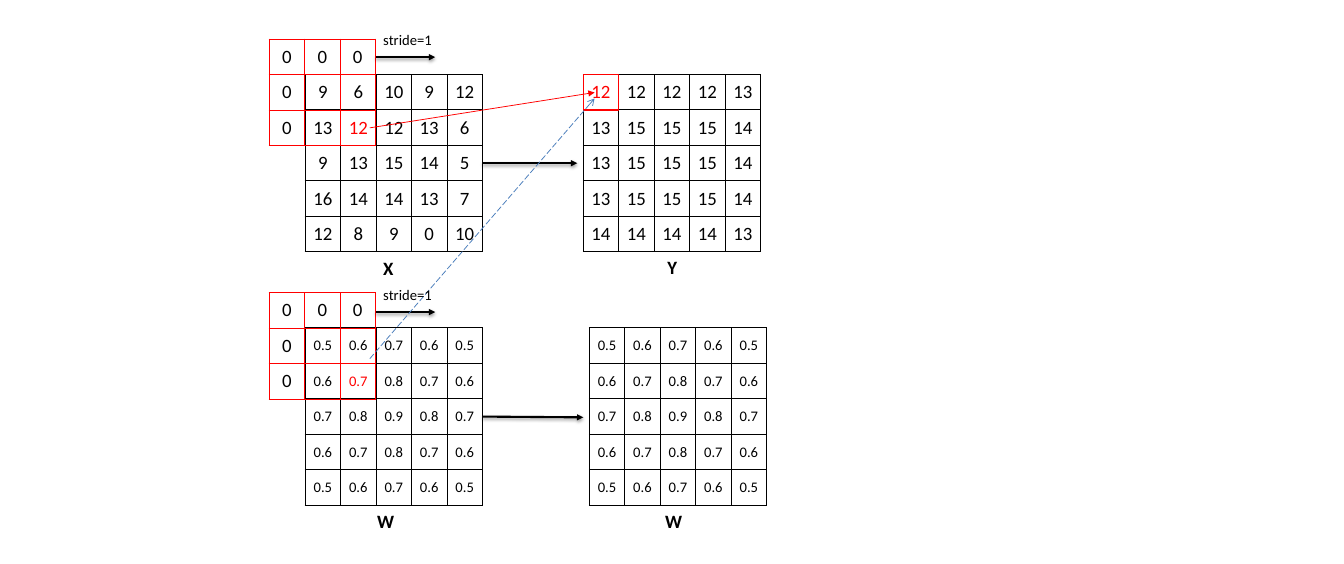
import pptx
import pptx.util
import pptx.dml.color
import pptx.enum.dml
import pptx.enum.shapes
import pptx.enum.text
import pptx.oxml
import pptx.oxml.ns
from lxml import etree

Inches = pptx.util.Inches
Pt = pptx.util.Pt

COLORS = {"black": "000000", "red": "FF0000", "blue": "4B7EBC"}
FONT = "Calibri"
CELL = 2.36 / 5

INPUT = ["9 6 10 9 12", "13 12 12 13 6", "9 13 15 14 5", "16 14 14 13 7", "12 8 9 0 10"]
OUTPUT = ["12 12 12 12 13", "13 15 15 15 14", "13 15 15 15 14", "13 15 15 15 14", "14 14 14 14 13"]
WEIGHTS = [
    "0.5 0.6 0.7 0.6 0.5",
    "0.6 0.7 0.8 0.7 0.6",
    "0.7 0.8 0.9 0.8 0.7",
    "0.6 0.7 0.8 0.7 0.6",
    "0.5 0.6 0.7 0.6 0.5",
]
PADDING = ["0 0 0", "0", "0"]

# left, top, rows, columns, size, border, red cell
GRIDS = [
    (4.06, 0.99, INPUT, 5, 18, "black", (1, 1)),
    (4.06, 4.36, WEIGHTS, 5, 14, "black", (1, 1)),
    (7.76, 0.99, OUTPUT, 5, 18, "black", (0, 0)),
    (7.84, 4.36, WEIGHTS, 5, 14, "black", None),
    (3.58, 0.52, PADDING, 3, 18, "red", None),
    (3.58, 3.89, PADDING, 3, 18, "red", None),
]
FLOW_ARROWS = [
    (6.42, 2.17, 7.68, 2.17),
    (6.42, 5.54, 7.76, 5.55),
    (5, 0.76, 5.79, 0.76),
    (5, 4.15, 5.79, 4.15),
]
LABELS = [
    ("stride=1", 5, 0.36, 0.94, 0.34, 14, False),
    ("stride=1", 5, 3.75, 0.94, 0.34, 14, False),
    ("X", 5, 3.36, 0.71, 0.4, 18, True),
    ("W", 4.92, 6.73, 0.71, 0.4, 18, True),
    ("Y", 8.78, 3.35, 0.71, 0.4, 18, True),
    ("W", 8.75, 6.73, 0.71, 0.4, 18, True),
]


def rgb(name):
    return pptx.dml.color.RGBColor.from_string(COLORS[name])


def add_node(parent, tag, **attributes):
    node = etree.SubElement(parent, pptx.oxml.ns.qn(tag))
    for key, value in attributes.items():
        node.set(key, str(value))
    return node


def format_text(para, size, color="black", bold=False):
    for span in para.runs:
        span.font.name = FONT
        span.font.size = Pt(size)
        span.font.bold = bold
        span.font.color.rgb = rgb(color)


def add_borders(cell, color):
    properties = cell._tc.get_or_add_tcPr()
    for side in ("L", "R", "T", "B"):
        border = add_node(properties, "a:ln" + side, w=Pt(1))
        add_node(add_node(border, "a:solidFill"), "a:srgbClr", val=COLORS[color])


def add_grid(page, left, top, rows, columns, size, border, red_cell):
    width, height = Inches(columns * CELL), Inches(len(rows) * CELL)
    table = page.shapes.add_table(len(rows), columns, Inches(left), Inches(top), width, height).table
    table.first_row = False
    table.horz_banding = False
    for row, line in enumerate(rows):
        values = line.split()
        for column in range(columns):
            cell = table.cell(row, column)
            add_borders(cell, border)
            cell.fill.background()
            cell.margin_left = cell.margin_right = 0
            cell.vertical_anchor = pptx.enum.text.MSO_ANCHOR.MIDDLE
            if column < len(values):
                para = cell.text_frame.paragraphs[0]
                para.text = values[column]
                para.alignment = pptx.enum.text.PP_ALIGN.CENTER
                format_text(para, size, "red" if (row, column) == red_cell else "black")


def add_arrow(page, ends, color, width, head="triangle", dash=None, shadow=False):
    arrow = page.shapes.add_connector(
        pptx.enum.shapes.MSO_CONNECTOR.STRAIGHT, *[Inches(value) for value in ends]
    )
    arrow.line.color.rgb = rgb(color)
    arrow.line.width = Pt(width)
    if dash:
        arrow.line.dash_style = dash
    add_node(arrow.line._get_or_add_ln(), "a:tailEnd", type=head)
    effects = add_node(arrow._element.spPr, "a:effectLst")
    if shadow:
        shade = add_node(
            effects, "a:outerShdw", blurRad=Pt(3.1), dist=Pt(1.6), dir=5400000, rotWithShape=0
        )
        add_node(add_node(shade, "a:srgbClr", val=COLORS["black"]), "a:alpha", val=38000)


def add_label(page, text, left, top, width, height, size, bold):
    box = page.shapes.add_textbox(Inches(left), Inches(top), Inches(width), Inches(height))
    box.text_frame.word_wrap = True
    box.text_frame.auto_size = pptx.enum.text.MSO_AUTO_SIZE.SHAPE_TO_FIT_TEXT
    box.text_frame.text = text
    format_text(box.text_frame.paragraphs[0], size, bold=bold)


def main():
    deck = pptx.Presentation()
    deck.slide_width = Inches(17.88)
    deck.slide_height = Inches(7.5)
    page = deck.slides.add_slide(deck.slide_layouts[6])

    for grid in GRIDS:
        add_grid(page, *grid)

    result = page.shapes.add_shape(
        pptx.enum.shapes.MSO_SHAPE.RECTANGLE, Inches(7.76), Inches(0.99), Inches(CELL), Inches(CELL)
    )
    result.shadow.inherit = False
    result.fill.background()
    result.line.color.rgb = rgb("red")
    result.line.width = Pt(1.25)

    for ends in FLOW_ARROWS:
        add_arrow(page, ends, "black", 2, shadow=True)
    add_arrow(page, (4.92, 1.7, 7.91, 1.23), "red", 0.75)
    long_dash = pptx.enum.dml.MSO_LINE.LONG_DASH
    add_arrow(page, (4.92, 4.77, 7.91, 1.31), "blue", 0.75, "arrow", long_dash)

    for label in LABELS:
        add_label(page, *label)

    deck.save("out.pptx")


if __name__ == "__main__":
    main()
